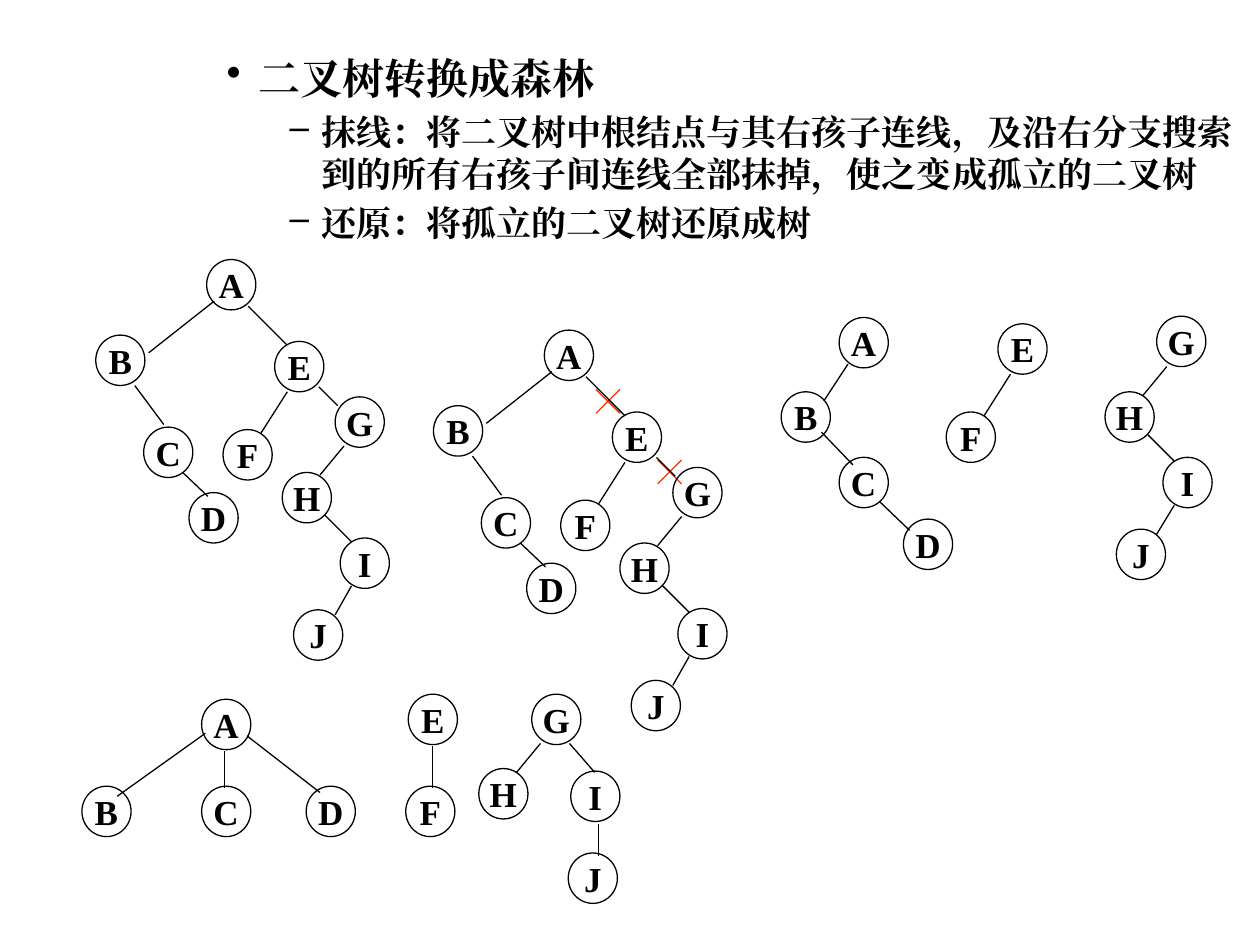
from lxml import etree
from pptx import Presentation
from pptx.dml.color import RGBColor
from pptx.enum.shapes import MSO_CONNECTOR, MSO_SHAPE
from pptx.enum.text import MSO_ANCHOR, PP_ALIGN
from pptx.oxml.ns import qn
from pptx.util import Inches, Pt

STRAIGHT = MSO_CONNECTOR.STRAIGHT
OVAL = MSO_SHAPE.OVAL
MIDDLE = MSO_ANCHOR.MIDDLE
LEFT, CENTER = PP_ALIGN.LEFT, PP_ALIGN.CENTER

FONT = "Times New Roman"
COLORS = {"ink": "000000", "cut": "FF3300"}
NODE_WIDTH, NODE_HEIGHT = 0.39, 0.4
CROSS_SIZE = 0.19

# Nodes: letter -> (left, top); edges: (x1, y1, x2, y2)
BINARY_NODES = {
    "A": (1.64, 2.06), "B": (0.76, 2.66), "C": (1.14, 3.39), "D": (1.5, 3.91),
    "E": (2.18, 2.71), "F": (1.77, 3.41), "G": (2.66, 3.15), "H": (2.24, 3.75),
    "I": (2.7, 4.27), "J": (2.33, 4.84),
}
BINARY_EDGES = [
    (1.07, 3.06, 1.3, 3.37), (1.45, 3.75, 1.65, 3.94), (2.28, 3.11, 2.07, 3.44),
    (1.97, 2.43, 2.28, 2.74), (2.53, 3.07, 2.68, 3.22), (1.7, 2.39, 1.18, 2.8),
    (2.73, 3.54, 2.54, 3.77), (2.58, 4.09, 2.79, 4.3), (2.79, 4.65, 2.66, 4.88),
]
CUT_SHIFT = (2.68, 0.56)
CUT_CROSSES = [(4.73, 3.09), (5.22, 3.65)]

SPLIT_NODES = {
    "A": (6.66, 2.52), "B": (6.2, 3.11), "C": (6.66, 3.63), "D": (7.17, 4.12),
    "E": (7.92, 2.57), "F": (7.51, 3.27), "G": (9.18, 2.51), "H": (8.77, 3.11),
    "I": (9.23, 3.63), "J": (8.86, 4.2),
}
SPLIT_EDGES = [
    (6.73, 2.89, 6.54, 3.18), (6.52, 3.43, 6.77, 3.69), (6.98, 3.98, 7.22, 4.21),
    (8.02, 2.97, 7.81, 3.3), (9.26, 2.91, 9.07, 3.14), (9.11, 3.45, 9.32, 3.66),
    (9.32, 4.01, 9.18, 4.24),
]

FOREST_NODES = {
    "A": (1.6, 5.55), "B": (0.65, 6.24), "C": (1.6, 6.24), "D": (2.43, 6.24),
    "E": (3.24, 5.51), "F": (3.22, 6.24), "G": (4.22, 5.51), "H": (3.8, 6.1),
    "I": (4.53, 6.12), "J": (4.51, 6.77),
}
FOREST_EDGES = [
    (1.78, 5.96, 1.78, 6.25), (1.63, 5.82, 0.93, 6.32), (1.96, 5.84, 2.54, 6.29),
    (3.43, 5.92, 3.43, 6.25), (4.29, 5.9, 4.1, 6.13), (4.52, 5.9, 4.72, 6.13),
    (4.75, 6.54, 4.75, 6.79),
]

# Text, level, indent, bullet, size, space before
OUTLINE = [
    ("二叉树转换成森林", 1, 1.25, "•", 24, 0),
    ("抹线：将二叉树中根结点与其右孩子连线，及沿右分支搜索"
     "到的所有右孩子间连线全部抹掉，使之变成孤立的二叉树", 2, 1.75, "–", 20, 4),
    ("还原：将孤立的二叉树还原成树", 2, 1.75, "–", 20, 4),
]


def color(name):
    return RGBColor.from_string(COLORS[name])


def write(para, text, size=20, align=CENTER, before=0):
    para.alignment = align
    para.space_before = Pt(before)
    span = para.add_run()
    span.text = text
    span.font.size = Pt(size)
    span.font.bold = True
    span.font.name = FONT
    span.font.color.rgb = color("ink")
    east_asian = etree.SubElement(span.font._element, qn("a:ea"))
    east_asian.set("typeface", FONT)


def add_bullet(para, mark, indent):
    properties = para._p.get_or_add_pPr()
    properties.set("marL", str(Inches(indent)))
    properties.set("indent", str(Inches(-0.25)))
    etree.SubElement(properties, qn("a:buChar")).set("char", mark)


def add_outline(page):
    box = page.shapes.add_textbox(Inches(0.7), Inches(0.37), Inches(9.3), Inches(1.54))
    frame = box.text_frame
    frame.word_wrap = True
    for index, (text, level, indent, mark, size, before) in enumerate(OUTLINE):
        para = frame.add_paragraph() if index else frame.paragraphs[0]
        para.level = level
        add_bullet(para, mark, indent)
        write(para, text, size=size, align=LEFT, before=before)


def add_line(group, x1, y1, x2, y2, ink="ink"):
    line = group.shapes.add_connector(
        STRAIGHT, Inches(x1), Inches(y1), Inches(x2), Inches(y2))
    line.line.color.rgb = color(ink)
    line.line.width = Pt(0.75)
    etree.SubElement(line._element.spPr, qn("a:effectLst"))


def add_node(group, letter, left, top):
    node = group.shapes.add_shape(
        OVAL, Inches(left), Inches(top), Inches(NODE_WIDTH), Inches(NODE_HEIGHT))
    node.shadow.inherit = False
    node.fill.background()
    node.line.color.rgb = color("ink")
    node.line.width = Pt(0.75)
    frame = node.text_frame
    frame.word_wrap = False
    frame.vertical_anchor = MIDDLE
    write(frame.paragraphs[0], letter)


def add_cross(group, left, top):
    right, bottom = left + CROSS_SIZE, top + CROSS_SIZE
    add_line(group, left, top, right, bottom, ink="cut")
    add_line(group, right, top, left, bottom, ink="cut")


def add_tree(page, nodes, edges, shift=(0, 0), crosses=()):
    group = page.shapes.add_group_shape()
    dx, dy = shift
    for left, top in crosses:
        add_cross(group, left, top)
    for letter, (left, top) in nodes.items():
        add_node(group, letter, left + dx, top + dy)
    for x1, y1, x2, y2 in edges:
        add_line(group, x1 + dx, y1 + dy, x2 + dx, y2 + dy)


def main():
    deck = Presentation()
    deck.slide_width, deck.slide_height = Inches(10), Inches(7.5)
    page = deck.slides.add_slide(deck.slide_layouts[6])

    add_outline(page)
    # Binary tree, then the same tree with its right branch cut
    add_tree(page, BINARY_NODES, BINARY_EDGES)
    add_tree(page, BINARY_NODES, BINARY_EDGES, shift=CUT_SHIFT, crosses=CUT_CROSSES)
    # Separate binary trees and the resulting forest
    add_tree(page, SPLIT_NODES, SPLIT_EDGES)
    add_tree(page, FOREST_NODES, FOREST_EDGES)

    deck.save("out.pptx")


if __name__ == "__main__":
    main()
